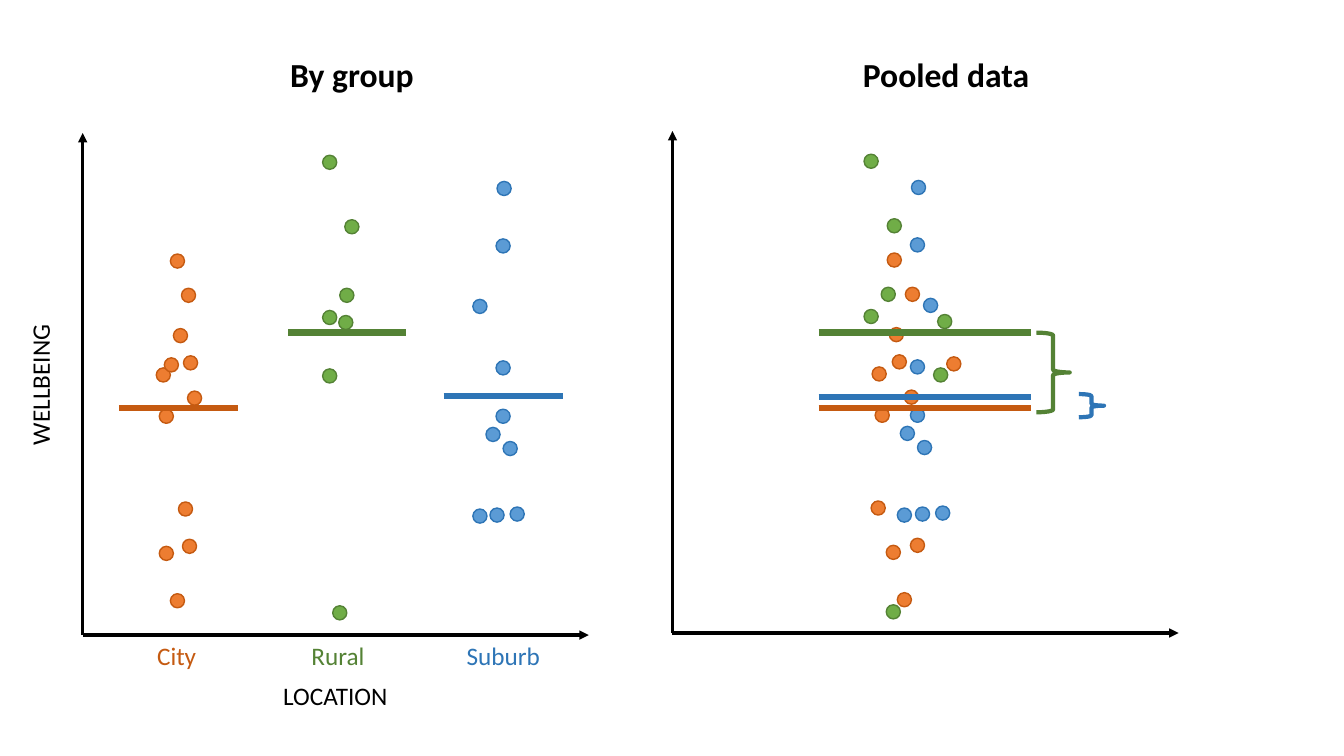
"""Build a slide comparing wellbeing by location with the pooled data."""
from lxml import etree
from pptx import Presentation
from pptx.dml.color import RGBColor
from pptx.enum.shapes import MSO_CONNECTOR, MSO_SHAPE
from pptx.enum.text import MSO_AUTO_SIZE
from pptx.oxml.ns import qn
from pptx.util import Pt

PX = 9144
BLACK = RGBColor(0, 0, 0)
ORANGE, DARK_ORANGE = RGBColor(0xED, 0x7D, 0x31), RGBColor(0xC5, 0x5A, 0x11)
GREEN, DARK_GREEN = RGBColor(0x70, 0xAD, 0x47), RGBColor(0x54, 0x82, 0x35)
BLUE, DARK_BLUE = RGBColor(0x5B, 0x9B, 0xD5), RGBColor(0x2E, 0x75, 0xB6)
DOT_SIZE = 14
POOLED_RISE = 1

prs = Presentation()
prs.slide_width, prs.slide_height = 1333 * PX, 750 * PX
slide = prs.slides.add_slide(prs.slide_layouts[6])
shapes = slide.shapes


def add_line(x1, y1, x2, y2, color, width, arrow=False):
    line = shapes.add_connector(
        MSO_CONNECTOR.STRAIGHT, x1 * PX, y1 * PX, x2 * PX, y2 * PX)
    line.line.color.rgb = color
    line.line.width = Pt(width)
    if arrow:
        etree.SubElement(line.line._get_or_add_ln(), qn("a:tailEnd"), type="triangle")
    etree.SubElement(line._element.spPr, qn("a:effectLst"))


def add_outlined(preset, x, y, width, height, color, weight):
    outlined = shapes.add_shape(preset, x * PX, y * PX, width * PX, height * PX)
    outlined.shadow.inherit = False
    outlined.line.color.rgb = color
    outlined.line.width = Pt(weight)
    return outlined.fill


for origin_x, origin_y in [(82, 630), (667, 628)]:
    add_line(origin_x, origin_y, origin_x, origin_y - 498, BLACK, 2.25, arrow=True)
    add_line(origin_x, origin_y, origin_x + 502, origin_y, BLACK, 2.25, arrow=True)

labels = [
    ("By group", 278, 49, 144, 50, 24, BLACK, 0),
    ("Pooled data", 846, 49, 187, 50, 24, BLACK, 0),
    ("City", 146, 630, 59, 40, 18, DARK_ORANGE, 0),
    ("Rural", 299, 630, 73, 40, 18, DARK_GREEN, 0),
    ("Suburb", 453, 630, 94, 40, 18, DARK_BLUE, 0),
    ("LOCATION", 271, 670, 125, 40, 18, BLACK, 0),
    ("WELLBEING", -31, 361, 141, 40, 18, BLACK, 270),
]
for text, x, y, width, height, size, color, rotation in labels:
    label = shapes.add_textbox(x * PX, y * PX, width * PX, height * PX)
    label.rotation = rotation
    label.text_frame.word_wrap = False
    label.text_frame.auto_size = MSO_AUTO_SIZE.SHAPE_TO_FIT_TEXT
    paragraph = label.text_frame.paragraphs[0]
    paragraph.text = text
    paragraph.font.name = "Calibri"
    paragraph.font.size = Pt(size)
    paragraph.font.bold = size == 24
    paragraph.font.color.rgb = color

# Each observation holds its x by group, its x when pooled, and its y.
city = [
    (169, 890, 589), (158, 879, 542), (181, 903, 535), (177, 864, 498),
    (158, 868, 406), (186, 897, 388), (155, 865, 365), (182, 885, 353),
    (163, 939, 355), (172, 882, 326), (180, 898, 286), (169, 880, 252),
]
rural = [
    (320, 926, 366), (336, 930, 313), (320, 857, 308), (337, 874, 286),
    (342, 880, 218), (320, 857, 154), (330, 879, 601),
]
suburb = [
    (469, 890, 505), (486, 908, 504), (506, 928, 503), (499, 910, 438),
    (482, 893, 424), (492, 903, 406), (492, 903, 358), (469, 916, 297),
    (492, 903, 237), (493, 904, 180),
]
groups = [
    (city, ORANGE, DARK_ORANGE),
    (rural, GREEN, DARK_GREEN),
    (suburb, BLUE, DARK_BLUE),
]
for observations, fill_color, edge_color in groups:
    for group_x, pooled_x, y in observations:
        for dot_x, dot_y in [(group_x, y), (pooled_x, y - POOLED_RISE)]:
            dot_fill = add_outlined(
                MSO_SHAPE.OVAL, dot_x, dot_y, DOT_SIZE, DOT_SIZE, edge_color, 1)
            dot_fill.solid()
            dot_fill.fore_color.rgb = fill_color

means = [
    (118, 236, 405, DARK_ORANGE),
    (286, 403, 330, DARK_GREEN),
    (440, 558, 393, DARK_BLUE),
    (812, 1023, 330, DARK_GREEN),
    (812, 1023, 394, DARK_BLUE),
    (812, 1023, 405, DARK_ORANGE),
]
for left, right, y, color in means:
    add_line(left, y, right, y, color, 4.5)

mean_gaps = [(1070, 391, 25, 23, DARK_BLUE), (1028, 330, 33, 79, DARK_GREEN)]
for x, y, width, height, color in mean_gaps:
    add_outlined(MSO_SHAPE.RIGHT_BRACE, x, y, width, height, color, 3).background()

prs.save("out.pptx")
